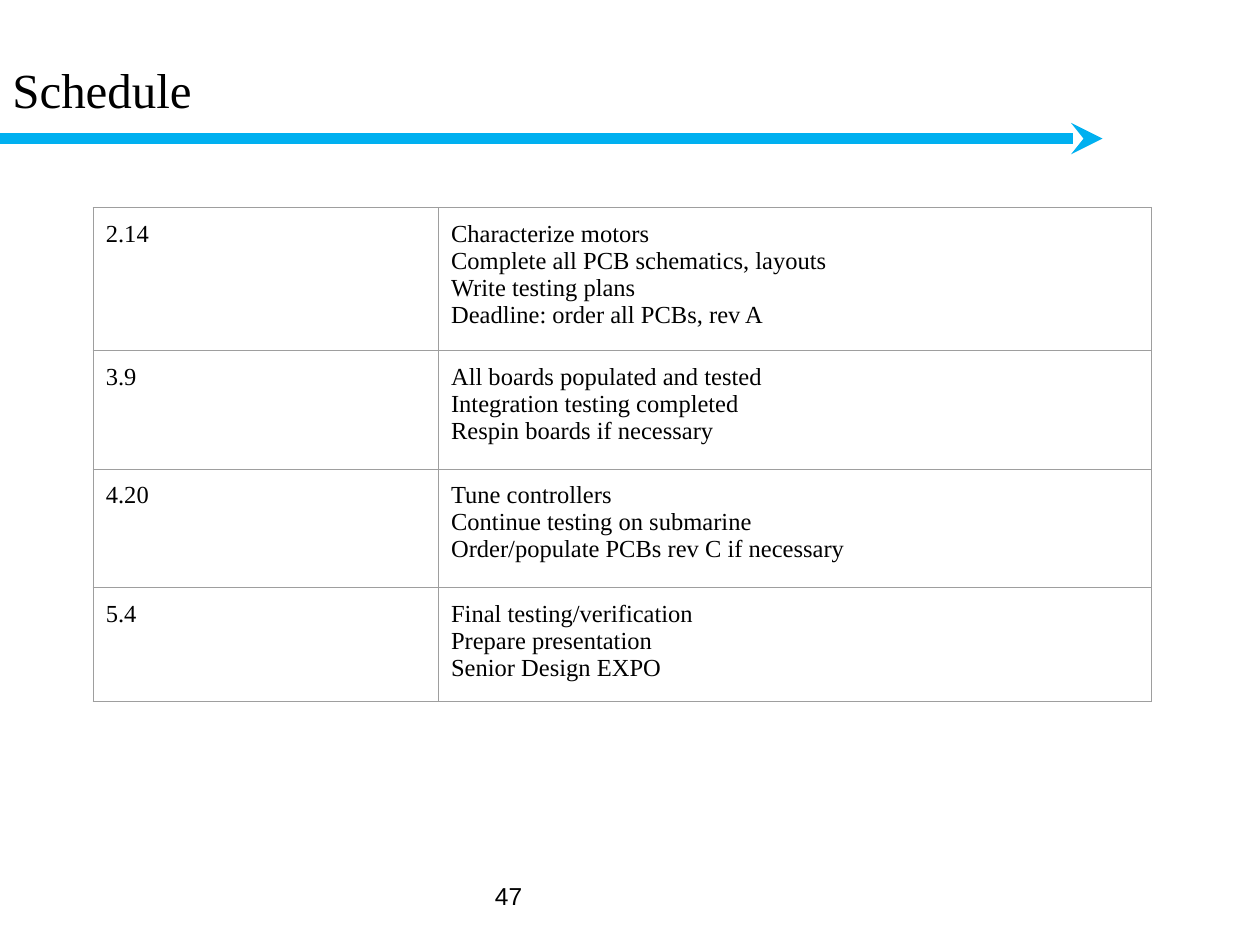
from lxml import etree
from pptx import Presentation
from pptx.dml.color import RGBColor
from pptx.enum.shapes import MSO_CONNECTOR
from pptx.enum.text import MSO_ANCHOR
from pptx.oxml.ns import qn
from pptx.util import Inches, Pt

STRAIGHT = MSO_CONNECTOR.STRAIGHT
TOP, MIDDLE = MSO_ANCHOR.TOP, MSO_ANCHOR.MIDDLE
COLORS = {"text": "000000", "arrow": "00B0F0", "border": "9E9E9E"}
SERIF, SANS = "Times New Roman", "Arial"
MARGIN = 0.1
COLUMN_WIDTHS = [2.74, 5.66]
ROW_HEIGHTS = [0.94, 0.94, 0.94, 0.61]
SCHEDULE = [
    ("2.14", ["Characterize motors", "Complete all PCB schematics, layouts",
              "Write testing plans", "Deadline: order all PCBs, rev A"]),
    ("3.9", ["All boards populated and tested", "Integration testing completed",
             "Respin boards if necessary"]),
    ("4.20", ["Tune controllers", "Continue testing on submarine",
              "Order/populate PCBs rev C if necessary"]),
    ("5.4", ["Final testing/verification", "Prepare presentation",
             "Senior Design EXPO"]),
]


def write_text(text_frame, text, size, font_name):
    text_frame.text = text
    for paragraph in text_frame.paragraphs:
        paragraph.font.size = Pt(size)
        paragraph.font.name = font_name
        paragraph.font.color.rgb = RGBColor.from_string(COLORS["text"])


def set_margins(target, vertical):
    target.margin_left = target.margin_right = Inches(MARGIN)
    target.margin_top = target.margin_bottom = Inches(vertical)


def add_text(slide, text, box, size, font_name, anchor=TOP, vertical_margin=MARGIN):
    text_frame = slide.shapes.add_textbox(*map(Inches, box)).text_frame
    text_frame.word_wrap = True
    text_frame.vertical_anchor = anchor
    set_margins(text_frame, vertical_margin)
    write_text(text_frame, text, size, font_name)


def add_arrow(slide, start, end):
    arrow = slide.shapes.add_connector(STRAIGHT, *map(Inches, start + end))
    arrow.line.color.rgb = RGBColor.from_string(COLORS["arrow"])
    arrow.line.width = Pt(6)
    properties = arrow._element.spPr
    etree.SubElement(properties.find(qn("a:ln")), qn("a:tailEnd"), type="stealth")
    etree.SubElement(properties, qn("a:effectLst"))


def set_borders(cell):
    """Draw all four sides; the border elements must come before the fill."""
    properties = cell._tc.get_or_add_tcPr()
    for index, side in enumerate(("lnL", "lnR", "lnT", "lnB")):
        border = etree.Element(qn(f"a:{side}"), w=str(Pt(0.75)))
        fill = etree.SubElement(border, qn("a:solidFill"))
        etree.SubElement(fill, qn("a:srgbClr"), val=COLORS["border"])
        properties.insert(index, border)


def add_schedule(slide, left, top):
    table = slide.shapes.add_table(
        len(SCHEDULE), len(COLUMN_WIDTHS), Inches(left), Inches(top),
        Inches(sum(COLUMN_WIDTHS)), Inches(sum(ROW_HEIGHTS))).table
    table.first_row = table.horz_banding = False
    for column, width in zip(table.columns, COLUMN_WIDTHS):
        column.width = Inches(width)
    for row, height, (date, tasks) in zip(table.rows, ROW_HEIGHTS, SCHEDULE):
        row.height = Inches(height)
        for cell, text in zip(row.cells, (date, "\n".join(tasks))):
            cell.fill.background()
            set_borders(cell)
            set_margins(cell, MARGIN)
            write_text(cell.text_frame, text, 14, SERIF)


def main():
    presentation = Presentation()
    presentation.slide_width = Inches(10)
    presentation.slide_height = Inches(7.5)
    slide = presentation.slides.add_slide(presentation.slide_layouts[6])
    add_arrow(slide, (0, 1.1), (8.75, 1.1))
    add_text(slide, "Schedule", (0, 0.08, 9, 1.25), 28, SERIF, anchor=MIDDLE)
    add_text(slide, "47", (3.83, 6.94, 2.33, 0.52), 14, SANS, vertical_margin=0.05)
    add_schedule(slide, 0.74, 1.65)
    presentation.save("out.pptx")


if __name__ == "__main__":
    main()
